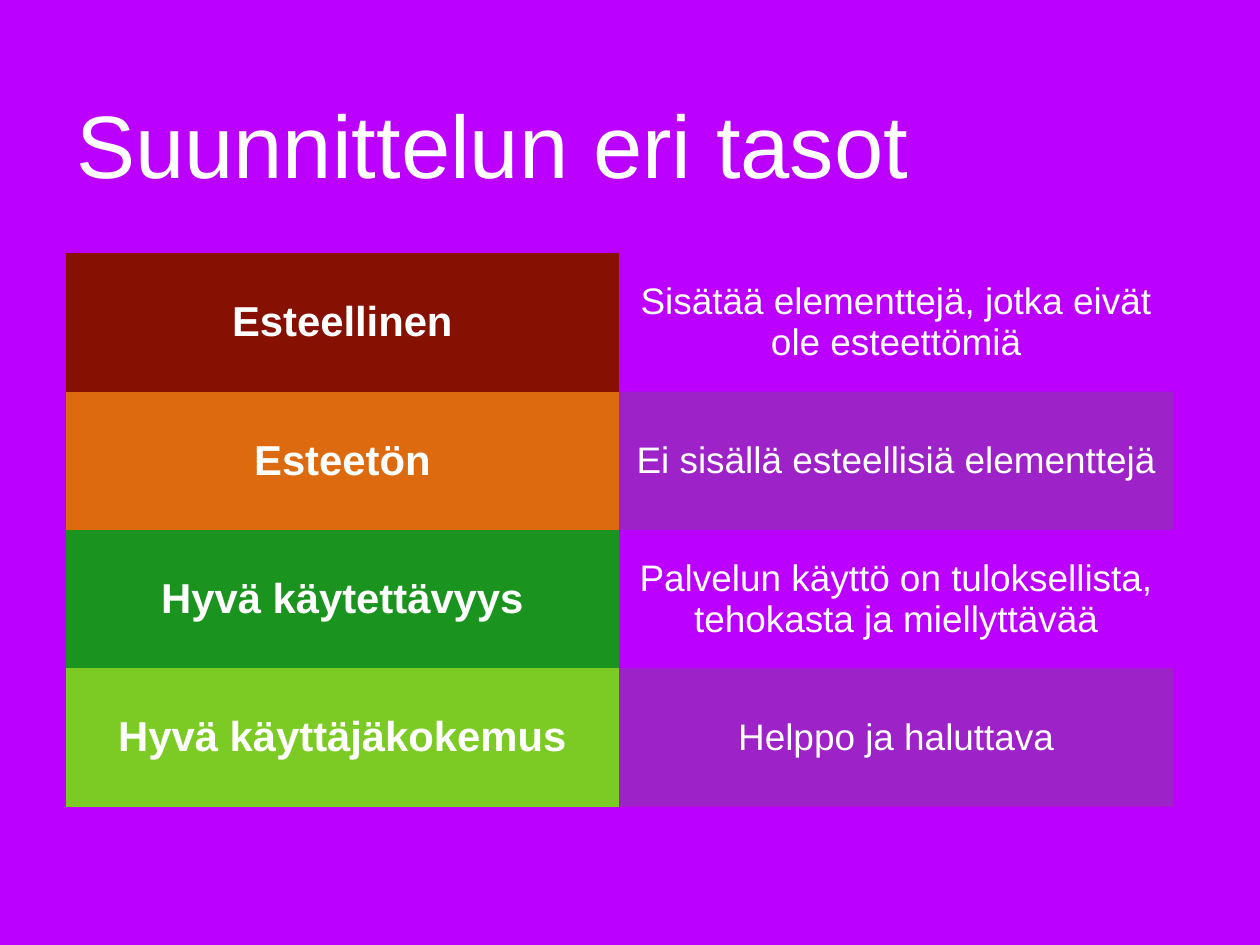
from lxml.etree import SubElement
from pptx import Presentation
from pptx.dml.color import RGBColor
from pptx.enum.text import MSO_ANCHOR, PP_ALIGN
from pptx.oxml.ns import qn
from pptx.util import Inches, Pt

COLORS = {
    "background": "BC00FF",
    "text": "FFFFFF",
    "barrier": "861001",
    "accessible": "DE6A10",
    "usability": "1A941F",
    "experience": "7CCB25",
    "band": "676164",
}
LEVELS = [
    ("Esteellinen", "barrier", "Sisätää elementtejä, jotka eivät ole esteettömiä"),
    ("Esteetön", "accessible", "Ei sisällä esteellisiä elementtejä"),
    ("Hyvä käytettävyys", "usability",
     "Palvelun käyttö on tuloksellista, tehokasta ja miellyttävää"),
    ("Hyvä käyttäjäkokemus", "experience", "Helppo ja haluttava"),
]
COLUMNS, ROWS = 100, 75
PLAIN_TABLE_STYLE = "{2D5ABB26-0587-4C30-8999-92F81FD0307C}"
BAND_OPACITY = 36


class SlideBuilder:
    font_name = "Arial"
    title_size = 72
    label_size = 34
    detail_size = 30
    cell_margin = Inches(0.06)

    def __init__(self, deck):
        self.column = deck.slide_width / COLUMNS
        self.row = deck.slide_height / ROWS
        self.slide = deck.slides.add_slide(deck.slide_layouts[6])
        self.paint(self.slide.background.fill, "background")

    def paint(self, fill, color):
        fill.solid()
        fill.fore_color.rgb = RGBColor.from_string(COLORS[color])

    def area(self, left, top, width, height):
        """Turn grid columns and rows into lengths."""
        return (round(left * self.column), round(top * self.row),
                round(width * self.column), round(height * self.row))

    def set_text(self, frame, text, size, bold=False, align=PP_ALIGN.LEFT):
        para = frame.paragraphs[0]
        para.text = text
        para.alignment = align
        para.font.name = self.font_name
        para.font.size = Pt(size)
        para.font.bold = bold
        para.font.color.rgb = RGBColor.from_string(COLORS["text"])

    def title(self, text, *grid):
        frame = self.slide.shapes.add_textbox(*self.area(*grid)).text_frame
        frame.word_wrap = True
        frame.vertical_anchor = MSO_ANCHOR.MIDDLE
        frame.margin_left = frame.margin_right = 0
        frame.margin_top = frame.margin_bottom = 0
        self.set_text(frame, text, self.title_size)

    def cell(self, cell, text, size, bold=False, color=None, opacity=100):
        cell.vertical_anchor = MSO_ANCHOR.MIDDLE
        cell.margin_left = cell.margin_right = self.cell_margin
        cell.margin_top = cell.margin_bottom = self.cell_margin
        self.set_text(cell.text_frame, text, size, bold, PP_ALIGN.CENTER)
        if color is None:
            cell.fill.background()
            return
        self.paint(cell.fill, color)
        if opacity < 100:
            tint = cell._tc.tcPr.find(f".//{qn('a:srgbClr')}")
            SubElement(tint, qn("a:alpha")).set("val", str(opacity * 1000))

    def levels_table(self, levels, *grid):
        shape = self.slide.shapes.add_table(len(levels), 2, *self.area(*grid))
        table = shape.table
        table.first_row = table.horz_banding = False
        style = shape.element.find(f".//{qn('a:tableStyleId')}")
        style.text = PLAIN_TABLE_STYLE
        for row, (label, color, detail) in enumerate(levels):
            band = "band" if row % 2 else None
            self.cell(table.cell(row, 0), label, self.label_size, True, color)
            self.cell(table.cell(row, 1), detail, self.detail_size,
                      color=band, opacity=BAND_OPACITY)


def main():
    deck = Presentation()
    deck.slide_width, deck.slide_height = Inches(14.22), Inches(10.67)
    page = SlideBuilder(deck)
    page.title("Suunnittelun eri tasot", 6.05, 1.97, 87.9, 18.77)
    page.levels_table(LEVELS, 5.2, 20.1, 87.9, 43.93)
    deck.save("out.pptx")


if __name__ == "__main__":
    main()
